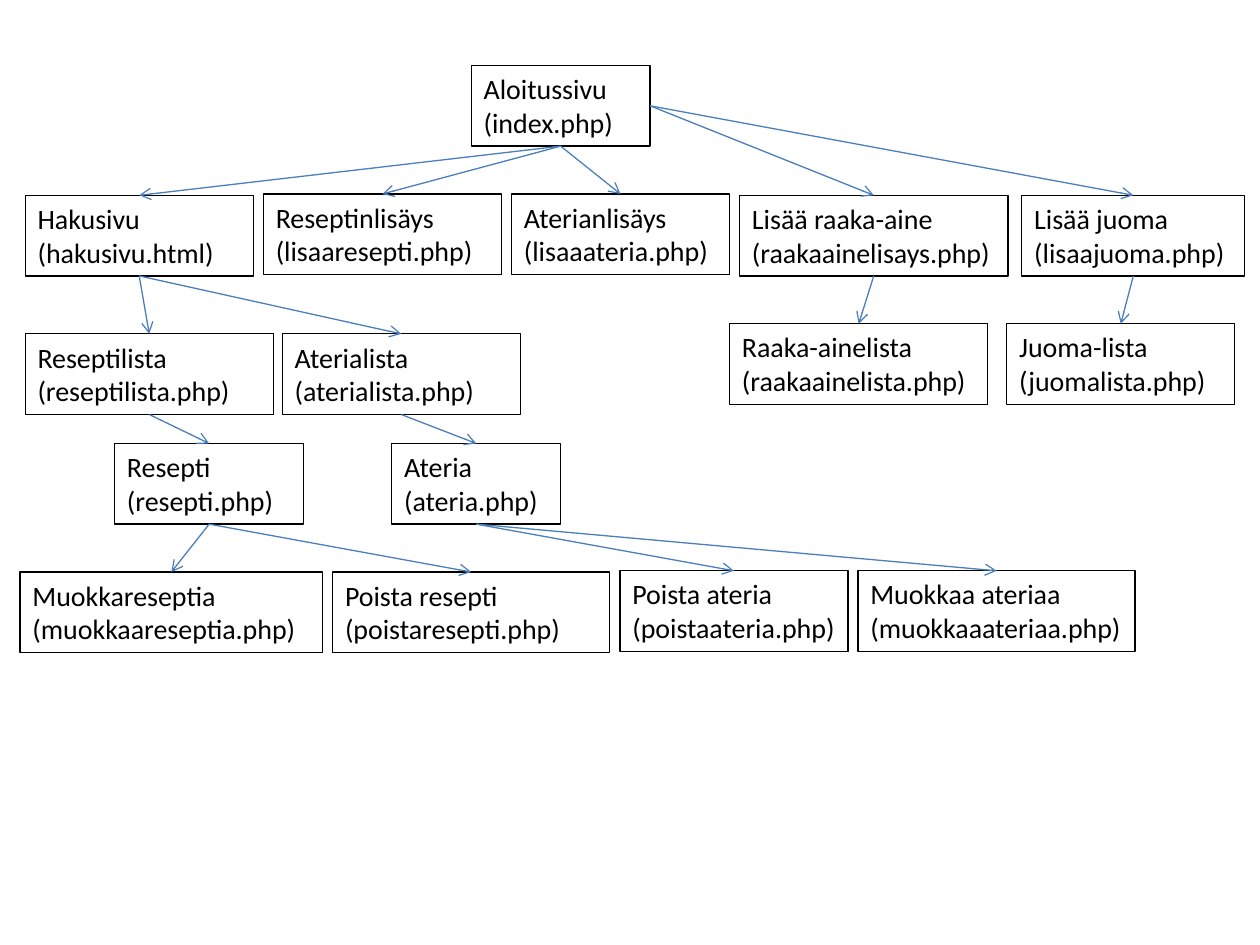
from pptx import Presentation
from pptx.dml.color import RGBColor
from pptx.enum.shapes import MSO_CONNECTOR
from pptx.enum.text import MSO_AUTO_SIZE
from pptx.oxml.ns import qn
from pptx.util import Inches, Pt
from lxml.etree import SubElement

BLACK = RGBColor(0x00, 0x00, 0x00)
BLUE = RGBColor(0x4B, 0x7E, 0xBC)
FONT = "Calibri"
TOP, BOTTOM, RIGHT = 0, 2, 3  # connection sites of a rectangle

deck = Presentation()
deck.slide_width, deck.slide_height = Inches(10), Inches(7.5)
COLUMN = deck.slide_width / 100
ROW = deck.slide_height / 75
BOX_ROWS = 6.4

# Each level: its row, then (title, file, first column, columns wide)
LEVELS = [
    (5.2, [("Aloitussivu", "index.php", 37.4, 14.2)]),
    (15.5, [("Hakusivu", "hakusivu.html", 2, 18.1),
            ("Lisää raaka-aine", "raakaainelisays.php", 58.7, 21.3),
            ("Lisää juoma", "lisaajuoma.php", 81.1, 17.7)]),
    (15.4, [("Reseptinlisäys", "lisaaresepti.php", 20.9, 18.9),
            ("Aterianlisäys", "lisaaateria.php", 40.6, 17.3)]),
    (26.5, [("Reseptilista", "reseptilista.php", 2, 19.7),
            ("Aterialista", "aterialista.php", 22.4, 18.9)]),
    (25.7, [("Raaka-ainelista", "raakaainelista.php", 57.9, 20.5),
            ("Juoma-lista", "juomalista.php", 79.9, 18.1)]),
    (35.2, [("Resepti", "resepti.php", 9.1, 15),
            ("Ateria", "ateria.php", 31.1, 13.4)]),
    (45.4, [("Muokkareseptia", "muokkaareseptia.php", 1.6, 24),
            ("Poista resepti", "poistaresepti.php", 26.4, 22)]),
    (45.3, [("Poista ateria", "poistaateria.php", 49.2, 18.1),
            ("Muokkaa ateriaa", "muokkaaateriaa.php", 68.1, 22)]),
]

# Each group: parent, the side its arrows leave from, children
LINKS = [
    ("Aloitussivu", BOTTOM, ["Hakusivu", "Reseptinlisäys", "Aterianlisäys"]),
    ("Aloitussivu", RIGHT, ["Lisää raaka-aine", "Lisää juoma"]),
    ("Hakusivu", BOTTOM, ["Reseptilista", "Aterialista"]),
    ("Lisää raaka-aine", BOTTOM, ["Raaka-ainelista"]),
    ("Lisää juoma", BOTTOM, ["Juoma-lista"]),
    ("Reseptilista", BOTTOM, ["Resepti"]),
    ("Aterialista", BOTTOM, ["Ateria"]),
    ("Resepti", BOTTOM, ["Muokkareseptia", "Poista resepti"]),
    ("Ateria", BOTTOM, ["Poista ateria", "Muokkaa ateriaa"]),
]


def draw_box(page, title, file, left, top, width, height):
    """Draw one outlined box with a title above its file name."""
    box = page.shapes.add_textbox(round(left), round(top), round(width), round(height))
    box.line.color.rgb = BLACK
    box.line.width = Pt(0.75)
    frame = box.text_frame
    frame.word_wrap = True
    frame.auto_size = MSO_AUTO_SIZE.SHAPE_TO_FIT_TEXT
    frame.text = f"{title}\n({file})"
    for para in frame.paragraphs:
        for span in para.runs:
            span.font.size = Pt(16)
            span.font.name = FONT
            span.font.color.rgb = BLACK
    return box


def draw_level(page, row, entries):
    """Draw the boxes that share a row and return them by title."""
    return {
        title: draw_box(page, title, file, column * COLUMN, row * ROW,
                        columns * COLUMN, BOX_ROWS * ROW)
        for title, file, column, columns in entries
    }


def draw_arrow(page, parent, side, child):
    """Glue an arrow from a side of the parent to the top of the child."""
    arrow = page.shapes.add_connector(MSO_CONNECTOR.STRAIGHT, 0, 0, 0, 0)
    arrow.begin_connect(parent, side)
    arrow.end_connect(child, TOP)
    arrow.line.color.rgb = BLUE
    arrow.line.width = Pt(0.75)
    SubElement(arrow.line._get_or_add_ln(), qn("a:tailEnd"), type="arrow")
    SubElement(arrow._element.spPr, qn("a:effectLst"))


def draw_site_map(page):
    """Draw every level of the site map and the arrows between them."""
    boxes = {}
    for row, entries in LEVELS:
        boxes.update(draw_level(page, row, entries))
    for parent, side, children in LINKS:
        for child in children:
            draw_arrow(page, boxes[parent], side, boxes[child])


draw_site_map(deck.slides.add_slide(deck.slide_layouts[6]))
deck.save("out.pptx")
